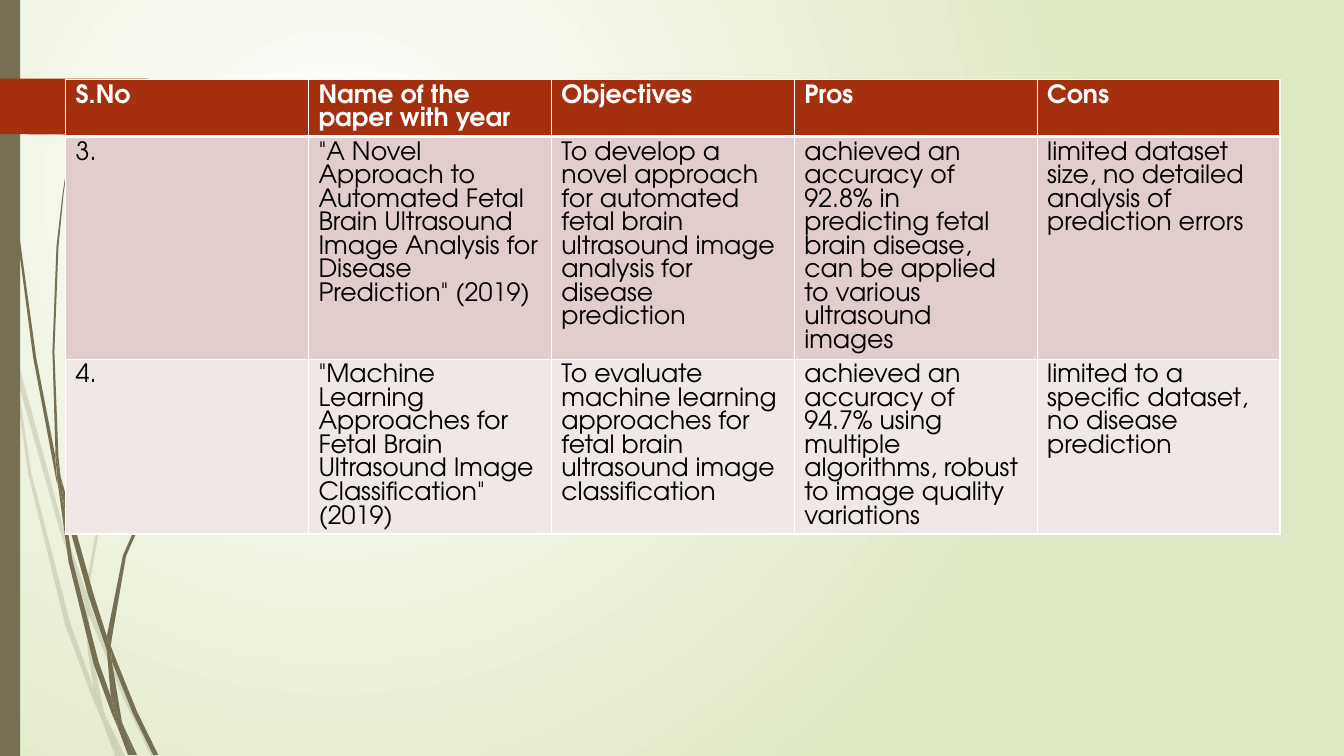
from lxml import etree
from pptx import Presentation
from pptx.dml.color import RGBColor
from pptx.enum import shapes, text
from pptx.oxml.ns import qn
from pptx.util import Pt

FONT = "TeX Gyre Adventor"
WHITE = RGBColor(0xFF, 0xFF, 0xFF)
BLACK = RGBColor(0, 0, 0)
PALE_GREEN = RGBColor(0xDF, 0xE8, 0xC4)
OLIVE = RGBColor(0x76, 0x6F, 0x54)
RUST = RGBColor(0xA5, 0x30, 0x10)
ROSE = RGBColor(0xE1, 0xCD, 0xCC)
LIGHT_ROSE = RGBColor(0xF0, 0xE8, 0xE7)

UNIT = Pt(0.72)  # grid step of the outlines below

FAINT_STEMS = [
    [(11, 350), (9, 322), (0, 282), (0, 299), (10, 344)],
    [(58, 522), (84, 599), (85, 586), (62, 520), (14, 345), (17, 376)],
    [(92, 607), (88, 596), (88, 610), (123, 694), (150, 750), (155, 750), (127, 692)],
    [(119, 750), (124, 750), (105, 711)],
    [(93, 683), (70, 619), (31, 469), (17, 376), (11, 350), (28, 470), (65, 621),
     (92, 693), (101, 714), (99, 707)],
    [(84, 599), (87, 646), (93, 683), (96, 692), (105, 711), (103, 706), (91, 646),
     (88, 610), (88, 608)],
    [(88, 584), (110, 462), (160, 349), (229, 245), (268, 198), (290, 175), (312, 154),
     (312, 153), (289, 175), (268, 197), (228, 244), (158, 348), (107, 461), (85, 584),
     (85, 586), (88, 596)],
    [(101, 714), (114, 750), (119, 750)],
    [(88, 608), (88, 610), (88, 596), (85, 586), (84, 599)],
    [(96, 692), (93, 683), (99, 707), (101, 714), (119, 750), (105, 711)],
]
DARK_STEMS = [
    [(7, 110), (17, 233), (33, 355), (56, 477), (57, 481), (55, 457), (55, 453),
     (36, 355), (19, 232), (8, 109), (5, 48), (4, 0), (3, 0), (4, 48)],
    [(88, 592), (106, 645), (106, 633), (106, 631), (93, 590), (60, 472), (64, 505)],
    [(113, 649), (110, 641), (111, 656), (132, 708), (152, 749), (157, 749), (136, 706)],
    [(110, 691), (98, 657), (72, 556), (64, 505), (57, 477), (68, 557), (93, 659),
     (111, 708), (117, 722), (116, 717)],
    [(60, 472), (58, 453), (54, 349), (58, 245), (63, 193), (70, 141), (62, 193),
     (56, 245), (52, 349), (55, 449)],
    [(133, 749), (136, 749), (122, 719)],
    [(57, 477), (64, 505), (60, 472), (55, 449), (55, 453)],
    [(111, 633), (125, 552), (158, 476), (205, 406), (231, 374), (245, 359), (261, 344),
     (260, 344), (245, 358), (231, 373), (204, 405), (156, 474), (122, 551), (106, 631),
     (110, 641)],
    [(117, 722), (127, 749), (131, 749)],
    [(106, 645), (110, 691), (116, 706), (122, 719), (121, 716), (111, 656), (109, 651)],
    [(106, 645), (109, 651), (111, 656), (110, 641), (106, 631), (106, 633)],
    [(116, 706), (110, 691), (116, 717), (117, 722), (130, 749), (133, 749), (122, 719)],
]
TAB_OUTLINE = [(0, 0), (146, 0), (148, 1), (173, 26), (173, 30), (148, 55), (146, 56), (0, 55)]

PAPERS = [
    ("S.No", "Name of the paper with year", "Objectives", "Pros", "Cons"),
    ("3.",
     '"A Novel Approach to Automated Fetal Brain Ultrasound Image Analysis '
     'for Disease Prediction" (2019)',
     "To develop a novel approach for automated fetal brain ultrasound image "
     "analysis for disease prediction",
     "achieved an accuracy of 92.8% in predicting fetal brain disease, can be "
     "applied to various ultrasound images",
     "limited dataset size, no detailed analysis of prediction errors"),
    ("4.",
     '"Machine Learning Approaches for Fetal Brain Ultrasound Image '
     'Classification" (2019)',
     "To evaluate machine learning approaches for fetal brain ultrasound image "
     "classification",
     "achieved an accuracy of 94.7% using multiple algorithms, robust to image "
     "quality variations",
     "limited to a specific dataset, no disease prediction"),
]


def paint(sp, color, alpha=None):
    sp.shadow.inherit = False
    sp.fill.solid()
    sp.fill.fore_color.rgb = color
    sp.line.fill.background()
    if alpha is not None:
        clr = sp.element.spPr.find(".//" + qn("a:srgbClr"))
        etree.SubElement(clr, qn("a:alpha")).set("val", str(alpha * 1000))


def write(tf, content, size=18, color=BLACK, bold=False):
    tf.word_wrap = True
    p = tf.paragraphs[0]
    p.alignment = text.PP_ALIGN.LEFT
    r = p.add_run()
    r.text = content
    r.font.name = FONT
    r.font.size = Pt(size)
    r.font.bold = bold
    r.font.color.rgb = color


def add_outline(parent, points, left, top, color, alpha=None):
    builder = parent.build_freeform(*points[0], scale=UNIT)
    builder.add_line_segments(points[1:], close=True)
    paint(builder.convert_to_shape(left, top), color, alpha)


def add_background(slide):
    fill = slide.background.fill
    fill.gradient()
    for stop, color in zip(fill.gradient_stops, (WHITE, PALE_GREEN)):
        stop.color.rgb = color
    # Turn the linear gradient into a radial one
    lin = slide.element.find(".//" + qn("a:lin"))
    radial = etree.Element(qn("a:path"))
    radial.set("path", "circle")
    focus = etree.SubElement(radial, qn("a:fillToRect"))
    for side, percent in zip("ltrb", (50, 50, 100, 100)):
        focus.set(side, str(percent * 1000))
    lin.getparent().replace(lin, radial)


def add_decoration(slide, left, top, height):
    # Grass stems, faint ones behind
    for stems, alpha in ((FAINT_STEMS, 20), (DARK_STEMS, None)):
        group = slide.shapes.add_group_shape()
        for points in stems:
            add_outline(group.shapes, points, left, top, OLIVE, alpha)
    # Side bar and page tab
    bar = slide.shapes.add_shape(shapes.MSO_SHAPE.RECTANGLE, left, top, Pt(14.4), height)
    paint(bar, OLIVE)
    add_outline(slide.shapes, TAB_OUTLINE, left, top + Pt(56.2), RUST)


def add_borders(cell, **widths):
    tc_pr = cell._tc.get_or_add_tcPr()
    for side in "LRTB":
        ln = etree.SubElement(tc_pr, qn("a:ln" + side), w=str(Pt(widths.get(side, 1))))
        solid = etree.SubElement(ln, qn("a:solidFill"))
        etree.SubElement(solid, qn("a:srgbClr"), val=str(WHITE))


def add_paper_table(slide, left, top, width, heights):
    frame = slide.shapes.add_table(len(PAPERS), len(PAPERS[0]), left, top, width, sum(heights))
    table = frame.table
    table.horz_banding = False
    for col in table.columns:
        col.width = width // len(PAPERS[0])
    for i, (row, fill) in enumerate(zip(PAPERS, (RUST, ROSE, LIGHT_ROSE))):
        table.rows[i].height = heights[i]
        header = i == 0
        for j, content in enumerate(row):
            cell = table.cell(i, j)
            add_borders(cell, T=3 if i == 1 else 1, B=3 if header else 1)
            cell.fill.solid()
            cell.fill.fore_color.rgb = fill
            write(cell.text_frame, content, color=WHITE if header else BLACK, bold=header)


def main():
    prs = Presentation()
    prs.slide_width, prs.slide_height = Pt(960), Pt(540)
    slide = prs.slides.add_slide(prs.slide_layouts[6])
    add_background(slide)
    add_decoration(slide, 0, 0, prs.slide_height)
    add_paper_table(slide, Pt(46.8), Pt(56.9), Pt(867.6), (Pt(40), Pt(159), Pt(124)))
    prs.save("out.pptx")


if __name__ == "__main__":
    main()
